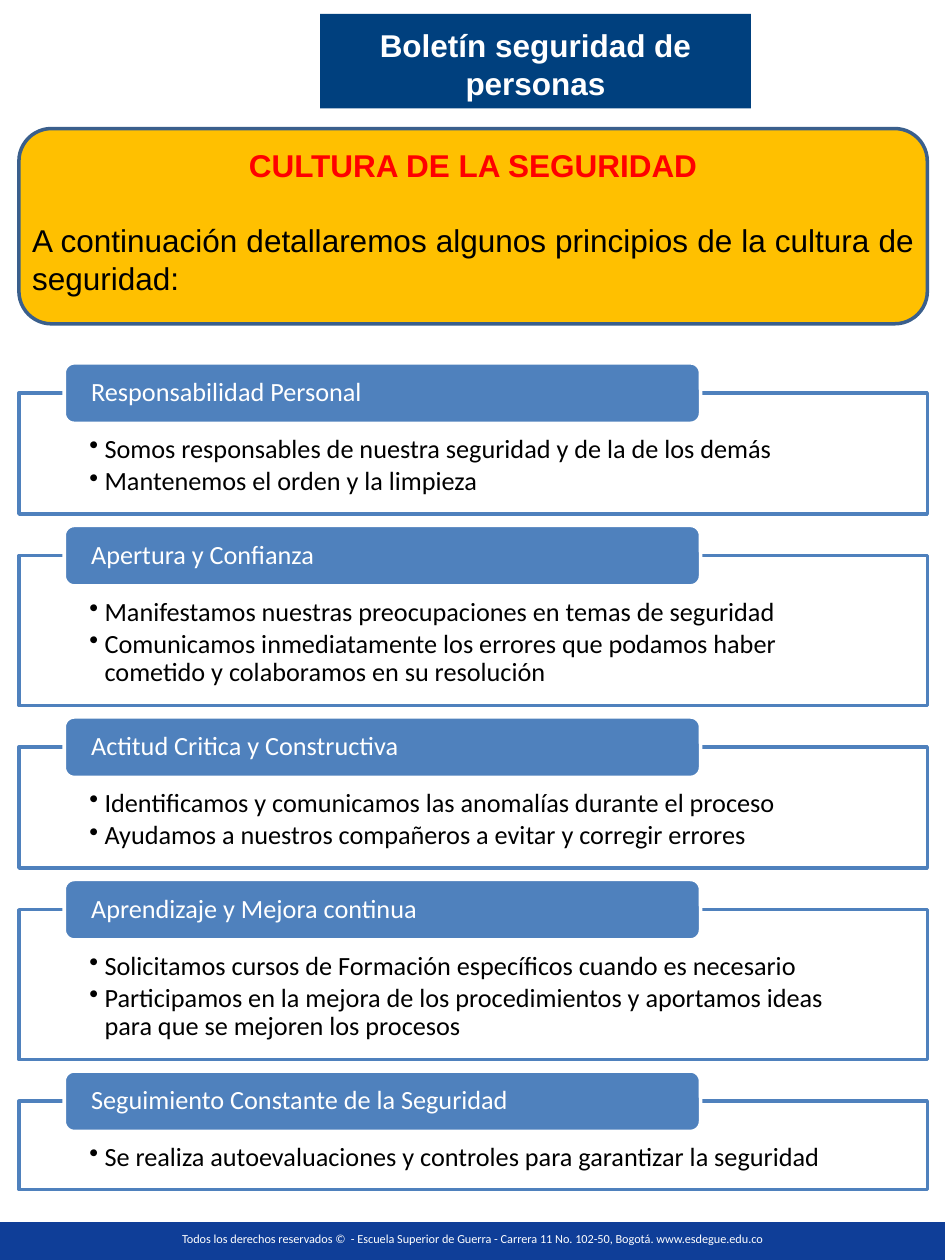
"""Build the one-page bulletin on the principles of a safety culture."""
from lxml import etree
from pptx import Presentation
from pptx.dml.color import RGBColor
from pptx.enum import shapes, text
from pptx.oxml import ns
from pptx.util import Inches, Pt

TITLE = "Boletín seguridad de personas"
HEADING = "CULTURA DE LA SEGURIDAD"
INTRO = "A continuación detallaremos algunos principios de la cultura de seguridad:"
FOOTER = ("Todos los derechos reservados ©  - Escuela Superior de Guerra - "
          "Carrera 11 No. 102-50, Bogotá. www.esdegue.edu.co")
PRINCIPLES = [
    ("Responsabilidad Personal", 0.96, [
        "Somos responsables de nuestra seguridad y de la de los demás",
        "Mantenemos el orden y la limpieza"]),
    ("Apertura y Confianza", 1.19, [
        "Manifestamos nuestras preocupaciones en temas de seguridad",
        "Comunicamos inmediatamente los errores que podamos haber cometido "
        "y colaboramos en su resolución"]),
    ("Actitud Critica y Constructiva", 0.96, [
        "Identificamos y comunicamos las anomalías durante el proceso",
        "Ayudamos a nuestros compañeros a evitar y corregir errores"]),
    ("Aprendizaje y Mejora continua", 1.19, [
        "Solicitamos cursos de Formación específicos cuando es necesario",
        "Participamos en la mejora de los procedimientos y aportamos ideas "
        "para que se mejoren los procesos"]),
    ("Seguimiento Constante de la Seguridad", 0.7, [
        "Se realiza autoevaluaciones y controles para garantizar la seguridad"]),
]

WHITE = RGBColor(0xFF, 0xFF, 0xFF)
BLACK = RGBColor(0, 0, 0)
RED = RGBColor(0xFF, 0, 0)
GOLD = RGBColor(0xFF, 0xC0, 0)
NAVY = RGBColor(0, 0x40, 0x7E)
ROYAL = RGBColor(0x0F, 0x3E, 0x98)
STEEL = RGBColor(0x3A, 0x5F, 0x8C)
BLUE = RGBColor(0x4F, 0x81, 0xBD)

RECT = shapes.MSO_SHAPE.RECTANGLE
ROUND = shapes.MSO_SHAPE.ROUNDED_RECTANGLE
LEFT, CENTER, JUSTIFY = (text.PP_ALIGN.LEFT, text.PP_ALIGN.CENTER,
                         text.PP_ALIGN.JUSTIFY)
TOP, MIDDLE = text.MSO_ANCHOR.TOP, text.MSO_ANCHOR.MIDDLE

MARGIN, WIDTH = 0.15, 7.21
FIRST_TOP, GAP, TAB_RISE = 3.12, 0.33, 0.24

TITLE_FONT = {"name": "Arial", "size": Pt(18), "bold": True}
INTRO_FONT = {"name": "Arial", "size": Pt(18), "bold": False}
BODY_FONT = {"name": "Calibri", "size": Pt(15)}
FOOTER_FONT = {"name": "Calibri", "size": Pt(7)}


def add_box(slide, kind, at, fill, line=None, anchor=MIDDLE,
            insets=(0.1, 0.05, 0.1, 0.05)):
    s = slide.shapes.add_shape(kind, *map(Inches, at))
    s.shadow.inherit = False
    s.fill.solid()
    s.fill.fore_color.rgb = fill
    if line is None:
        s.line.fill.background()
    else:
        s.line.color.rgb = line
        s.line.width = Pt(2)
    tf = s.text_frame
    tf.word_wrap = True
    tf.vertical_anchor = anchor
    for side, inset in zip(("left", "top", "right", "bottom"), insets):
        setattr(tf, f"margin_{side}", Inches(inset))
    return tf


def write(tf, words, font, color, bullet=False, **layout):
    p = tf.add_paragraph() if tf.text else tf.paragraphs[0]
    if bullet:
        pPr = p._p.get_or_add_pPr()
        pPr.set("marL", str(Inches(0.12)))
        pPr.set("indent", str(-Inches(0.12)))
        etree.SubElement(pPr, ns.qn("a:buChar"), char="•")
    for key, value in layout.items():
        setattr(p, key, value)
    r = p.add_run()
    r.text = words
    for key, value in font.items():
        setattr(r.font, key, value)
    r.font.color.rgb = color


def add_principle(slide, top, name, height, points):
    tf = add_box(slide, RECT, (MARGIN, top, WIDTH, height), WHITE, BLUE,
                 TOP, (0.56, 0.34, 0.56, 0.12))
    for point in points:
        write(tf, point, BODY_FONT, BLACK, bullet=True, alignment=LEFT,
              line_spacing=0.9, space_after=Pt(2.25))
    tf = add_box(slide, ROUND, (0.51, top - TAB_RISE, 5.05, 0.48), BLUE, WHITE,
                 insets=(0.19, 0, 0.19, 0))
    write(tf, name, BODY_FONT, WHITE, alignment=LEFT, line_spacing=0.9)


def main():
    prs = Presentation()
    prs.slide_width, prs.slide_height = Inches(7.5), Inches(10)
    slide = prs.slides.add_slide(prs.slide_layouts[6])

    tf = add_box(slide, RECT, (0, 9.7, 7.5, 0.33), ROYAL, anchor=TOP,
                 insets=(0.1, 0.07, 0.1, 0.05))
    write(tf, FOOTER, FOOTER_FONT, WHITE, alignment=CENTER)

    tf = add_box(slide, RECT, (2.54, 0.11, 3.42, 0.75), NAVY,
                 insets=(0.1, 0.09, 0.1, 0.05))
    write(tf, TITLE, TITLE_FONT, WHITE, alignment=CENTER)

    tf = add_box(slide, ROUND, (MARGIN, 1.02, WIDTH, 1.55), GOLD, STEEL,
                 TOP, (0.03, 0.06, 0.03, 0))
    write(tf, HEADING, TITLE_FONT, RED, alignment=CENTER)
    write(tf, INTRO, INTRO_FONT, BLACK, alignment=JUSTIFY, space_before=Pt(21.6))

    top = FIRST_TOP
    for name, height, points in PRINCIPLES:
        add_principle(slide, top, name, height, points)
        top += height + GAP

    prs.save("out.pptx")


if __name__ == "__main__":
    main()
